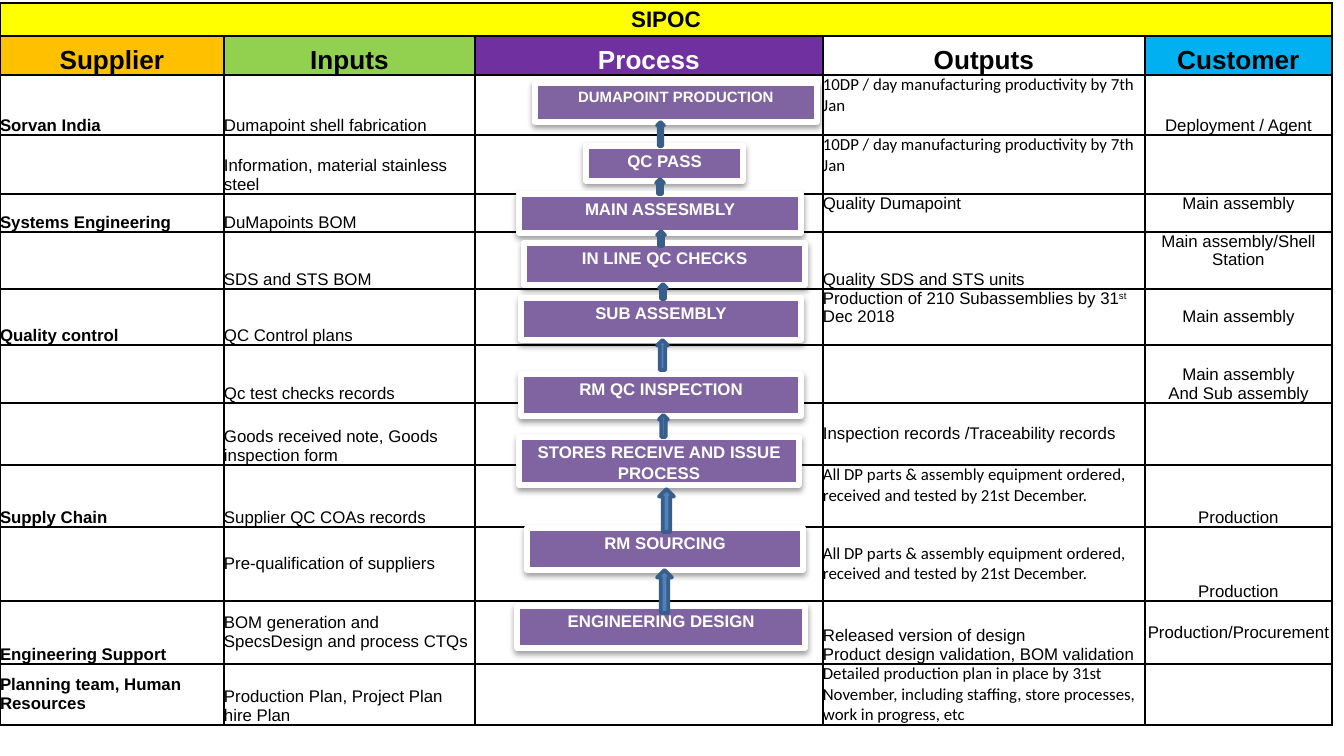
from lxml.etree import SubElement
from pptx import Presentation
from pptx.dml.color import RGBColor
from pptx.enum.shapes import MSO_SHAPE as Shape
from pptx.enum.text import MSO_ANCHOR as Anchor, PP_ALIGN as Align
from pptx.oxml import parse_xml
from pptx.oxml.ns import nsdecls, qn
from pptx.util import Emu, Pt

SCALE = 914400 / 134.4
HEX = {
    "black": "000000", "white": "FFFFFF", "yellow": "FFFF00", "gold": "FFC000",
    "green": "92D050", "purple": "7030A0", "sky": "00B0F0", "violet": "8064A2",
    "blue": "4F81BD", "navy": "395E89",
}
TOP, MID, LOW = Anchor.TOP, Anchor.MIDDLE, Anchor.BOTTOM
COLS = [224, 251, 348, 322, 187]
ROWS = [33, 39, 60, 59, 38, 57, 56, 58, 62, 62, 74, 63, 61]
HEADS = [
    ("Supplier", "gold", "black"), ("Inputs", "green", "black"),
    ("Process", "purple", "white"), ("Outputs", None, "black"),
    ("Customer", "sky", "black"),
]
GOAL = "10DP / day manufacturing productivity by 7th Jan"
ORDER = "All DP parts & assembly equipment ordered, received and tested by 21st December."
PLAN = ("Detailed production plan in place by 31st November, including staffing, "
        "store processes, work in progress, etc")
BODY = [
    ["Sorvan India", "Dumapoint shell fabrication", "",
     (GOAL, TOP, "Calibri"), "Deployment / Agent"],
    ["", "Information, material stainless steel", "", (GOAL, TOP, "Calibri"), ""],
    ["Systems Engineering", "DuMapoints BOM", "",
     ("Quality Dumapoint", TOP), ("Main assembly", TOP)],
    ["", "SDS and STS BOM", "", "Quality SDS and STS units",
     ("Main assembly/Shell Station", TOP)],
    ["Quality control", "QC Control plans", "",
     ("Production of 210 Subassemblies by 31^st^ Dec 2018", TOP), ("Main assembly", MID)],
    ["", "Qc test checks records", "", "", "Main assembly\nAnd Sub assembly"],
    ["", "Goods received note, Goods inspection form", "",
     ("Inspection records /Traceability records", MID), ""],
    ["Supply Chain", "Supplier QC COAs records", "", (ORDER, TOP, "Calibri"), "Production"],
    ["", ("Pre-qualification of suppliers", MID), "", (ORDER, MID, "Calibri"), "Production"],
    ["Engineering Support", ("BOM generation and SpecsDesign and process CTQs", MID), "",
     "Released version of design\nProduct design validation, BOM validation",
     ("Production/Procurement", MID)],
    [("Planning team, Human Resources", MID), "Production Plan, Project Plan hire Plan", "",
     (PLAN, LOW, "Calibri"), ""],
]
STEPS = [
    ("QC PASS", 586, 146, 157, 35), ("MAIN ASSESMBLY", 519, 194, 282, 39),
    ("IN LINE QC CHECKS", 524, 243, 281, 42), ("SUB ASSEMBLY", 521, 298, 280, 42),
    ("RM QC INSPECTION", 521, 374, 280, 42), ("RM SOURCING", 527, 528, 276, 42),
    ("STORES RECEIVE AND ISSUE PROCESS", 519, 437, 280, 48),
    ("DUMAPOINT PRODUCTION", 535, 83, 282, 39), ("ENGINEERING DESIGN", 517, 606, 288, 42),
]
ARROWS = [
    (659, 489, 15, 43), (659, 415, 9, 22), (657, 340, 11, 30), (659, 284, 8, 15),
    (657, 231, 8, 15), (656, 179, 8, 15), (657, 122, 7, 24), (657, 570, 15, 43),
]


def px(num):
    return Emu(round(num * SCALE))


def tint(name):
    return RGBColor.from_string(HEX[name])


class Deck:
    """Holds the style and the current slide, and draws each kind of element."""

    def __init__(self, wide, high):
        self.show = Presentation()
        self.show.slide_width, self.show.slide_height = px(wide), px(high)
        self.slide = self.show.slides.add_slide(self.show.slide_layouts[6])

    def text(self, frame, words, size, color="black", bold=False, align=Align.LEFT, face="Arial"):
        frame.word_wrap = True
        for n, line in enumerate(words.split("\n")):
            para = frame.add_paragraph() if n else frame.paragraphs[0]
            para.alignment = align
            for k, part in enumerate(line.split("^")):
                run = para.add_run()
                run.text = part
                font = run.font
                font.size, font.bold, font.name = Pt(size), bold, face
                font.color.rgb = tint(color)
                if k % 2:
                    run._r.get_or_add_rPr().set("baseline", "30000")

    def grid(self, left, top, cols, rows):
        table = self.slide.shapes.add_table(
            len(rows), len(cols), px(left), px(top), px(sum(cols)), px(sum(rows))).table
        table.first_row = table.horz_banding = False
        for col, wide in zip(table.columns, cols):
            col.width = px(wide)
        for row, high in zip(table.rows, rows):
            row.height = px(high)
        return table

    def cell(self, cell, words, fill=None, anchor=LOW, size=9, **look):
        cell.margin_left = cell.margin_right = cell.margin_top = cell.margin_bottom = 0
        cell.vertical_anchor = anchor
        if words:
            self.text(cell.text_frame, words, size, **look)
        else:
            end = SubElement(cell.text_frame.paragraphs[0]._p, qn("a:endParaRPr"))
            end.set("sz", str(size * 100))
        props = cell._tc.get_or_add_tcPr()
        for side in ("lnL", "lnR", "lnT", "lnB"):
            props.append(parse_xml(
                f'<a:{side} {nsdecls("a")} w="12700"><a:solidFill>'
                f'<a:srgbClr val="{HEX["black"]}"/></a:solidFill></a:{side}>'))
        if fill:
            cell.fill.solid()
            cell.fill.fore_color.rgb = tint(fill)
        else:
            cell.fill.background()

    def shape(self, kind, box, fill, line, width):
        shape = self.slide.shapes.add_shape(kind, *map(px, box))
        shape.shadow.inherit = False
        shape.fill.solid()
        shape.fill.fore_color.rgb = tint(fill)
        shape.line.color.rgb = tint(line)
        shape.line.width = Pt(width)
        return shape

    def step(self, words, *box, size=9):
        shape = self.shape(Shape.RECTANGLE, box, "violet", "white", 3)
        glow = shape._element.spPr.find(qn("a:effectLst"))
        glow.append(parse_xml(
            f'<a:outerShdw {nsdecls("a")} blurRad="40000" dist="20000" dir="5400000" '
            f'rotWithShape="0"><a:srgbClr val="{HEX["black"]}"><a:alpha val="38000"/>'
            '</a:srgbClr></a:outerShdw>'))
        frame = shape.text_frame
        frame.vertical_anchor = TOP
        frame.margin_left = frame.margin_right = px(10)
        frame.margin_top = frame.margin_bottom = px(5)
        self.text(frame, words, size, "white", True, Align.CENTER)

    def arrow(self, *box):
        self.shape(Shape.UP_ARROW, box, "blue", "navy", 2)


def main():
    deck = Deck(1344, 756)
    table = deck.grid(0, 3, COLS, ROWS)
    for col in range(len(COLS)):
        deck.cell(table.cell(0, col), "" if col else "SIPOC", "yellow", MID, 12,
                  bold=True, align=Align.CENTER)
    table.cell(0, 0).merge(table.cell(0, len(COLS) - 1))
    for col, (words, fill, color) in enumerate(HEADS):
        deck.cell(table.cell(1, col), words, fill, size=14, color=color,
                  bold=True, align=Align.CENTER)
    for row, items in enumerate(BODY, 2):
        for col, item in enumerate(items):
            item = (item,) if isinstance(item, str) else item
            words, anchor, face = item + (LOW, "Arial")[len(item) - 1:]
            deck.cell(table.cell(row, col), words, anchor=anchor, bold=col == 0, face=face,
                      align=Align.CENTER if col == 4 else Align.LEFT)
    for words, *box in STEPS:
        deck.step(words, *box, size=8 if words.endswith("PRODUCTION") else 9)
    for box in ARROWS:
        deck.arrow(*box)
    deck.show.save("out.pptx")


if __name__ == "__main__":
    main()
